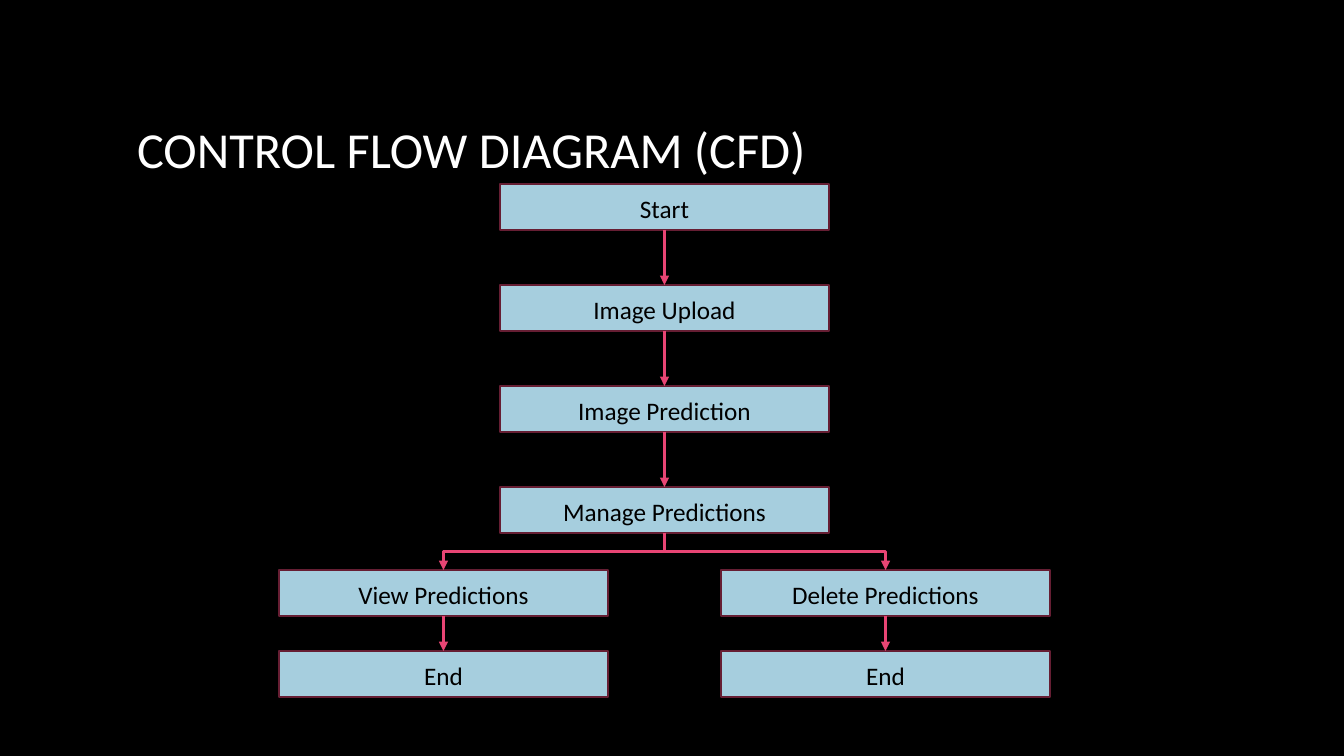
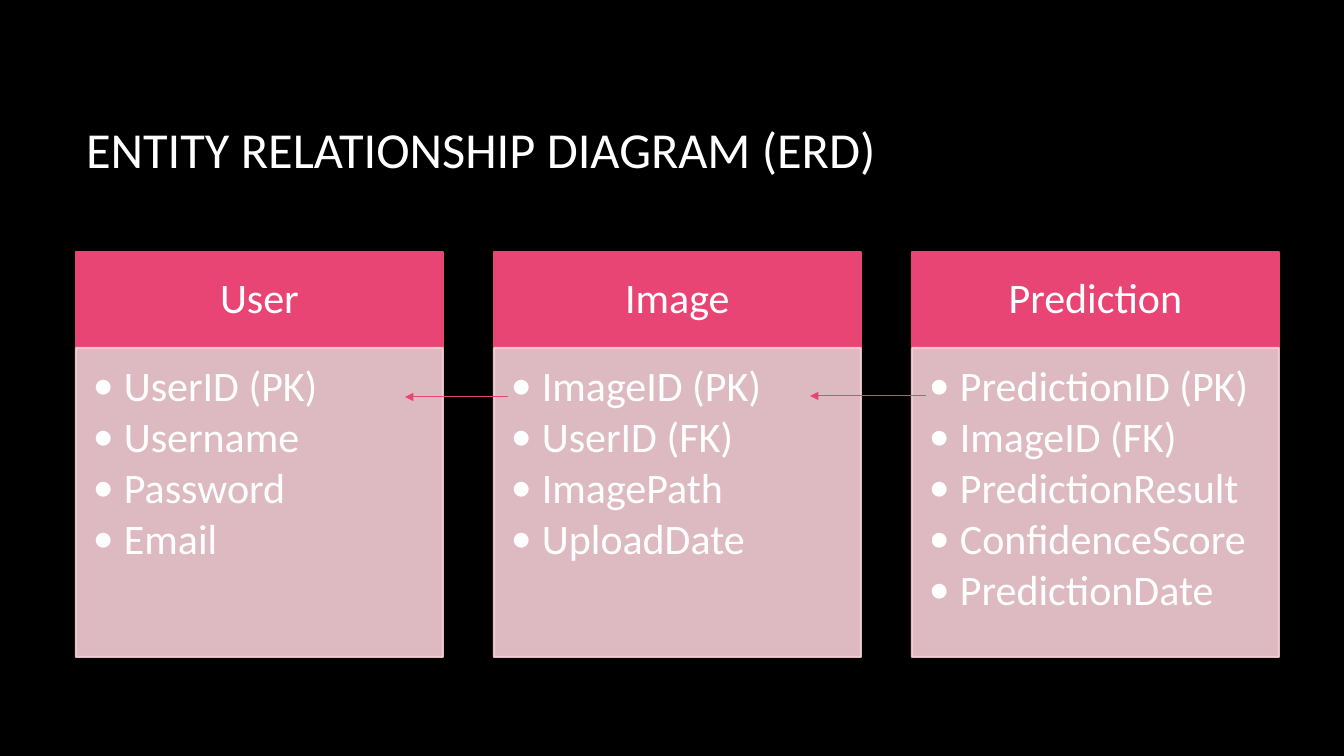
from pptx import Presentation
from pptx.dml.color import RGBColor
from pptx.enum.shapes import MSO_CONNECTOR, MSO_SHAPE
from pptx.enum.text import MSO_ANCHOR, PP_ALIGN
from pptx.oxml.ns import qn
from pptx.util import Pt
from lxml.etree import SubElement

PX = 914400 / 100.8
BLACK = RGBColor(0x00, 0x00, 0x00)
WHITE = RGBColor(0xFF, 0xFF, 0xFF)
SKY = RGBColor(0xA6, 0xCE, 0xDE)
WINE = RGBColor(0x66, 0x1E, 0x33)
PINK = RGBColor(0xE8, 0x45, 0x74)
BLUSH = RGBColor(0xF6, 0xCF, 0xD6)

TITLE_FONT = {"name": "Calibri", "size": Pt(36)}
FLOW = {
    "frame": {"vertical_anchor": MSO_ANCHOR.MIDDLE},
    "para": {"alignment": PP_ALIGN.CENTER, "line_spacing": 1.07, "space_after": Pt(8)},
    "font": {"name": "Calibri", "size": Pt(18)},
    "colors": (SKY, WINE, BLACK),
}
HEADER = {
    "frame": {"vertical_anchor": MSO_ANCHOR.MIDDLE},
    "para": {"alignment": PP_ALIGN.CENTER, "line_spacing": 0.9},
    "font": {"name": "Calibri", "size": Pt(30)},
    "colors": (PINK, PINK, WHITE),
}
FIELDS = {
    "frame": {
        "vertical_anchor": MSO_ANCHOR.TOP,
        "margin_left": round(17 * PX),
        "margin_top": round(17 * PX),
        "margin_right": round(23 * PX),
        "margin_bottom": round(26 * PX),
    },
    "para": {"alignment": PP_ALIGN.LEFT, "line_spacing": 0.9, "space_after": Pt(4)},
    "font": HEADER["font"],
    "colors": (BLUSH, BLUSH, WHITE),
}


def add_box(page, place, lines, style):
    box = page.shapes.add_shape(MSO_SHAPE.RECTANGLE, *[round(n * PX) for n in place])
    fill, edge, ink = style["colors"]
    box.shadow.inherit = False
    box.fill.solid()
    box.fill.fore_color.rgb = fill
    box.line.color.rgb = edge
    box.line.width = Pt(1.5)
    frame = box.text_frame
    frame.word_wrap = True
    for name, value in style["frame"].items():
        setattr(frame, name, value)
    for index, line in enumerate(lines):
        para = frame.add_paragraph() if index else frame.paragraphs[0]
        for name, value in style["para"].items():
            setattr(para, name, value)
        span = para.add_run()
        span.text = line
        for name, value in style["font"].items():
            setattr(span.font, name, value)
        span.font.color.rgb = ink
    return box


def add_arrow(page, kind, points, weight):
    arrow = page.shapes.add_connector(kind, *[round(n * PX) for n in points])
    arrow.line.color.rgb = PINK
    arrow.line.width = Pt(weight)
    properties = arrow.element.spPr
    SubElement(properties.find(qn("a:ln")), qn("a:tailEnd"), type="triangle")
    SubElement(properties, qn("a:effectLst"))
    return arrow


deck = Presentation()
deck.slide_width, deck.slide_height = round(1344 * PX), round(756 * PX)
backdrop = deck.slide_master.background.fill
backdrop.solid()
backdrop.fore_color.rgb = BLACK

pages = []
for heading, left, width in [
    ("CONTROL FLOW DIAGRAM (CFD)", 127, 1048),
    ("ENTITY RELATIONSHIP DIAGRAM (ERD)", 76, 1117),
]:
    page = deck.slides.add_slide(deck.slide_layouts[5])
    title = page.shapes.title
    title.left, title.top = round(left * PX), round(68 * PX)
    title.width, title.height = round(width * PX), round(160 * PX)
    title.text_frame.vertical_anchor = MSO_ANCHOR.MIDDLE
    para = title.text_frame.paragraphs[0]
    para.alignment = PP_ALIGN.LEFT
    span = para.add_run()
    span.text = heading
    for name, value in TITLE_FONT.items():
        setattr(span.font, name, value)
    span.font.color.rgb = WHITE
    pages.append(page)
flow_page, entity_page = pages

BOX_LEFT, BOX_WIDTH, BOX_HEIGHT, BRANCH_SHIFT = 500, 329, 46, 221
STEPS = ["Start", "Image Upload", "Image Prediction", "Manage Predictions"]
links = []
previous = None
for index, step in enumerate(STEPS):
    place = (BOX_LEFT, 184 + 101 * index, BOX_WIDTH, BOX_HEIGHT)
    box = add_box(flow_page, place, [step], FLOW)
    if previous:
        links.append((previous, box))
    previous = box
manage = previous

for side, action in [(-1, "View Predictions"), (1, "Delete Predictions")]:
    left = BOX_LEFT + side * BRANCH_SHIFT
    branch = add_box(flow_page, (left, 570, BOX_WIDTH, BOX_HEIGHT), [action], FLOW)
    end = add_box(flow_page, (left, 651, BOX_WIDTH, BOX_HEIGHT), ["End"], FLOW)
    links.append((branch, end))
    elbow = add_arrow(flow_page, MSO_CONNECTOR.ELBOW, (0, 0, 0, 0), 2.25)
    elbow.begin_connect(manage, 2)
    elbow.end_connect(branch, 0)
    start_y = manage.top + manage.height
    drop = branch.top - start_y
    reach = abs(branch.left - manage.left)
    middle_x = (manage.left + branch.left + manage.width) // 2
    elbow.left, elbow.top = middle_x - drop // 2, start_y + drop // 2 - reach // 2
    elbow.width, elbow.height = drop, reach
    frame = elbow.element.spPr.find(qn("a:xfrm"))
    frame.set("rot", "5400000" if side < 0 else "16200000")
    frame.set("flipH", "0" if side < 0 else "1")

for upper, lower in links:
    arrow = add_arrow(flow_page, MSO_CONNECTOR.STRAIGHT, (0, 0, 0, 0), 2.25)
    arrow.begin_connect(upper, 2)
    arrow.end_connect(lower, 0)

ENTITIES = {
    "User": ["UserID (PK)", "Username", "Password", "Email"],
    "Image": ["ImageID (PK)", "UserID (FK)", "ImagePath", "UploadDate"],
    "Prediction": [
        "PredictionID (PK)",
        "ImageID (FK)",
        "PredictionResult",
        "ConfidenceScore",
        "PredictionDate",
    ],
}
for index, (entity, fields) in enumerate(ENTITIES.items()):
    left = 76 + 418 * index
    add_box(entity_page, (left, 252, 367, 95), [entity], HEADER)
    body = add_box(entity_page, (left, 348, 367, 309), fields, FIELDS)
    for color in body.element.spPr.iter(qn("a:srgbClr")):
        SubElement(color, qn("a:alpha"), val="90000")
    for para in body.text_frame.paragraphs:
        properties = para._p.get_or_add_pPr()
        properties.set("marL", str(round(31 * PX)))
        properties.set("indent", str(round(-31 * PX)))
        SubElement(properties, qn("a:buFont"), typeface="Calibri")
        SubElement(properties, qn("a:buChar"), char="•")

for points in [(508, 397, 405, 397), (926, 396, 810, 396)]:
    add_arrow(entity_page, MSO_CONNECTOR.STRAIGHT, points, 0.75)

deck.save("out.pptx")
